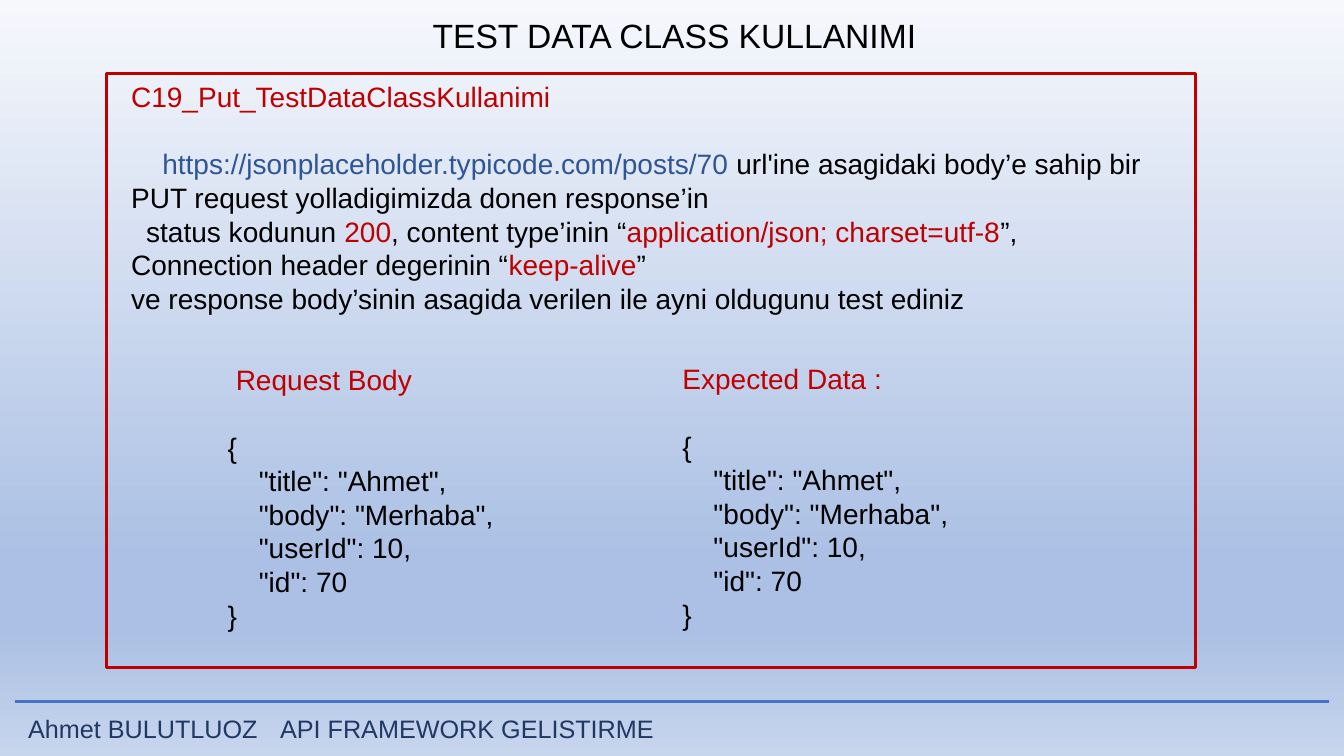
"""Builds the slide on using a test data class for a PUT request."""
import pptx
import pptx.util
import pptx.dml.color
import pptx.enum.shapes
import pptx.enum.text
import pptx.oxml.ns
import lxml.etree

Inches, Pt = pptx.util.Inches, pptx.util.Pt
qn = pptx.oxml.ns.qn

HUES = {"black": "000000", "red": "C00000", "link": "2F5597",
        "navy": "203864", "rule": "4472C4"}
SKY = [(0, "F6F8FC"), (74, "ABC0E4"), (83, "ABC0E4"), (100, "C7D5ED")]
TITLE = "TEST DATA CLASS KULLANIMI"
FOOT = "Ahmet BULUTLUOZ\tAPI FRAMEWORK GELISTIRME"

# Each line: space before in points, first indent in inches, coloured runs.
TASK = [
    (0, 0, [("C19_Put_TestDataClassKullanimi", "red")]),
    (24, 0.31, [
        ("https://jsonplaceholder.typicode.com/posts/70 ", "link"),
        ("url'ine asagidaki body’e sahip bir PUT request "
         "yolladigimizda donen response’in", "black")]),
    (0, 0.15, [
        ("status kodunun ", "black"), ("200", "red"),
        (", content type’inin “", "black"),
        ("application/json; charset=utf-8", "red"),
        ("”, Connection header degerinin “", "black"),
        ("keep-alive", "red"), ("”", "black")]),
    (0, 0, [("ve response body’sinin asagida verilen ile ayni "
             "oldugunu test ediniz", "black")]),
]
JSON = ["{", '    "title": "Ahmet",', '    "body": "Merhaba",',
        '    "userId": 10,', '    "id": 70', "}"]
HEADS = [("Request Body", 0.08, (2.16, 3.55, 3.71, 2.79)),
         ("Expected Data :", 0, (6.67, 3.54, 3.33, 2.79))]


def tint(hue):
    return pptx.dml.color.RGBColor.from_string(HUES[hue])


def place(shape, spot):
    for name, size in zip(("left", "top", "width", "height"), spot):
        setattr(shape, name, Inches(size))


def write(shape, lines, size=20, align="LEFT", lead=24):
    """Fills a shape with spaced lines of coloured runs."""
    frame = shape.text_frame
    look = {"word_wrap": True,
            "auto_size": pptx.enum.text.MSO_AUTO_SIZE.NONE,
            "vertical_anchor": pptx.enum.text.MSO_ANCHOR.TOP}
    for name, value in look.items():
        setattr(frame, name, value)
    for row, (gap, dent, runs) in enumerate(lines):
        para = frame.add_paragraph() if row else frame.paragraphs[0]
        form = {"alignment": getattr(pptx.enum.text.PP_ALIGN, align),
                "space_before": Pt(gap),
                "line_spacing": Pt(lead) if lead else 1.0}
        for name, value in form.items():
            setattr(para, name, value)
        props = para._p.get_or_add_pPr()
        props.set("marL", "0")
        props.set("indent", str(Inches(dent)))
        lxml.etree.SubElement(props, qn("a:buNone"))
        for text, hue in runs:
            run = para.add_run()
            run.text = text
            for name, value in {"name": "Arial", "size": Pt(size)}.items():
                setattr(run.font, name, value)
            run.font.color.rgb = tint(hue)


def paint(slide):
    """Fills the background with the sky gradient."""
    fill = slide.background.fill
    fill.gradient()
    fill.gradient_angle = 270
    stops = slide._element.find(".//" + qn("a:gsLst"))
    for stop in list(stops):
        stops.remove(stop)
    for share, hue in SKY:
        stop = lxml.etree.SubElement(stops, qn("a:gs"), pos=str(share * 1000))
        lxml.etree.SubElement(stop, qn("a:srgbClr"), val=hue)


def main():
    deck = pptx.Presentation()
    deck.slide_width, deck.slide_height = Inches(13.33), Inches(7.5)
    slide = deck.slides.add_slide(deck.slide_layouts[1])
    shapes = slide.shapes
    paint(slide)

    title, body = slide.placeholders
    place(title, (4.06, 0.1, 5.26, 0.5))
    write(title, [(0, 0, [(TITLE, "black")])], 24, "CENTER", 0)
    place(body, (1.2, 0.74, 10.43, 2.79))
    write(body, TASK)

    rule = shapes.add_connector(
        pptx.enum.shapes.MSO_CONNECTOR.STRAIGHT,
        Inches(0.15), Inches(6.96), Inches(13.18), Inches(6.96))
    lxml.etree.SubElement(rule._element.spPr, qn("a:effectLst"))
    frame = shapes.add_shape(
        pptx.enum.shapes.MSO_SHAPE.RECTANGLE,
        *map(Inches, (1.06, 0.73, 10.8, 5.89)))
    frame.fill.background()
    frame.shadow.inherit = False
    for shape, hue in ((rule, "rule"), (frame, "red")):
        shape.line.color.rgb = tint(hue)
        shape.line.width = Pt(2.25)

    for head, dent, spot in HEADS:
        code = [(0 if row else 24, 0, [(text.replace(" ", "\u00a0"), "black")])
                for row, text in enumerate(JSON)]
        box = shapes.add_textbox(*map(Inches, spot))
        write(box, [(0, dent, [(head, "red")])] + code)

    foot = shapes.add_textbox(*map(Inches, (0.18, 7.03, 13.03, 0.4)))
    write(foot, [(0, 0, [(FOOT, "navy")])], 18, lead=0)
    props = foot.text_frame.paragraphs[0]._p.pPr
    tabs = lxml.etree.SubElement(props, qn("a:tabLst"))
    lxml.etree.SubElement(tabs, qn("a:tab"), pos=str(Inches(12.76)), algn="r")
    deck.save("out.pptx")


if __name__ == "__main__":
    main()
